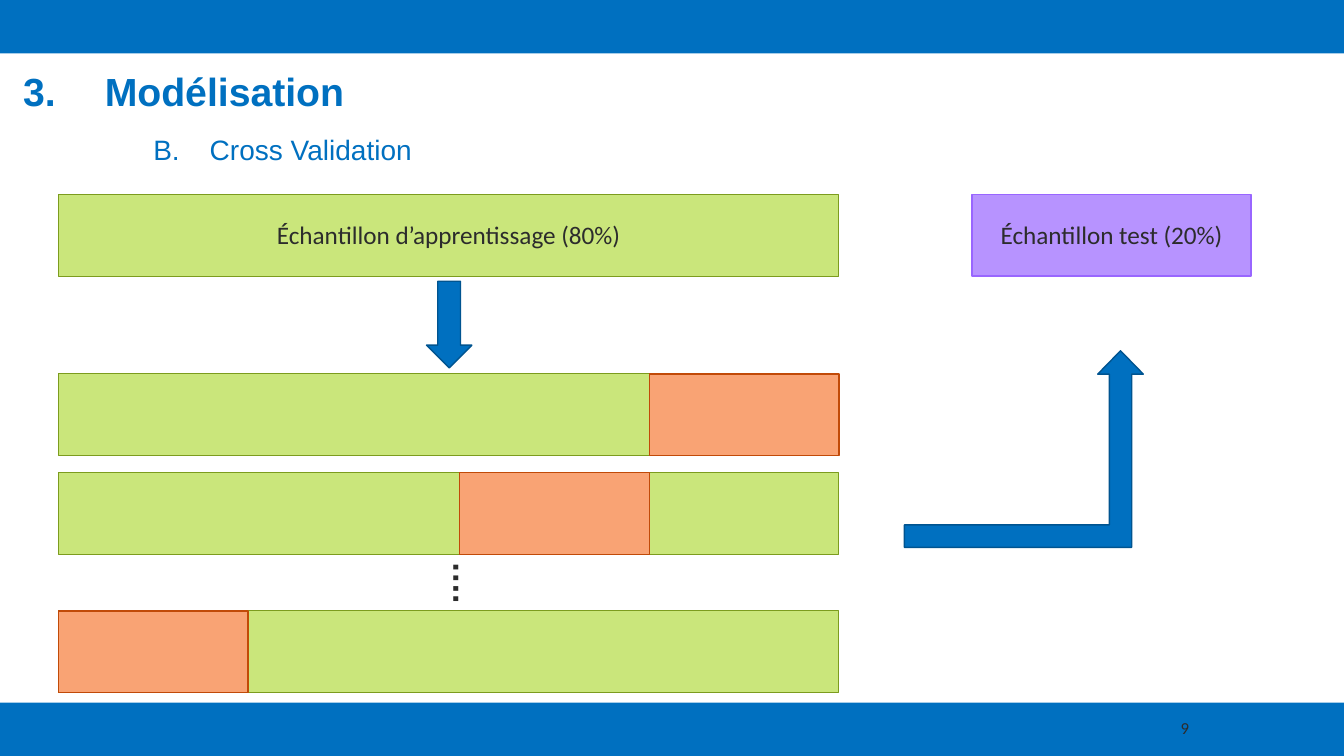
import pptx
import pptx.util
from dataclasses import dataclass
from lxml import etree
from pptx.dml.color import RGBColor
from pptx.enum.shapes import MSO_SHAPE
from pptx.enum.text import MSO_ANCHOR, MSO_AUTO_SIZE, PP_ALIGN
from pptx.oxml.ns import qn
from pptx.util import Inches


@dataclass(frozen=True)
class Theme:
    blue: str = "0070C0"
    blue_line: str = "005490"
    white: str = "FFFFFF"
    dark: str = "2C2C2C"
    green: str = "CAE67B"
    green_line: str = "7C9C1E"
    orange: str = "F9A374"
    orange_line: str = "C14A08"
    purple: str = "B793FF"
    purple_line: str = "9966FF"
    heading_font: str = "Arial"
    label_font: str = "Calibri"
    title_size: int = 28
    subtitle_size: int = 20
    label_size: int = 18
    dots_size: int = 24
    number_size: int = 12


theme = Theme()
presentation = pptx.Presentation()
presentation.slide_width = Inches(13.33)
presentation.slide_height = Inches(7.5)
slide = presentation.slides.add_slide(presentation.slide_layouts[1])


def add_box(kind, box, fill, line=None, line_width=1):
    shape = slide.shapes.add_shape(kind, *map(Inches, box))
    shape.shadow.inherit = False
    shape.fill.solid()
    shape.fill.fore_color.rgb = RGBColor.from_string(fill)
    if line:
        shape.line.color.rgb = RGBColor.from_string(line)
        shape.line.width = pptx.util.Pt(line_width)
    else:
        shape.line.fill.background()
    return shape


def write_text(shape, text, size, font, color, bold=False, align=PP_ALIGN.LEFT):
    """Put one formatted run in the shape and return its paragraph."""
    shape.text_frame.word_wrap = True
    paragraph = shape.text_frame.paragraphs[0]
    paragraph.alignment = align
    run = paragraph.add_run()
    run.text = text
    run.font.size = pptx.util.Pt(size)
    run.font.name = font
    run.font.bold = bold
    run.font.color.rgb = RGBColor.from_string(color)
    return paragraph


# Blue frame with a white panel
add_box(MSO_SHAPE.RECTANGLE, (0, 0, 13.33, 7.5), theme.blue)
add_box(MSO_SHAPE.RECTANGLE, (0, 0.53, 13.33, 6.44), theme.white)

# Numbered headings, brought in front of the panel
title, subtitle = slide.placeholders
headings = [
    (subtitle, "Cross Validation", (1.42, 1.24, 9.76, 0.53), theme.subtitle_size, False, 0.56, "alphaUcPeriod", 2),
    (title, "Modélisation", (0.13, 0.67, 7.74, 0.53), theme.title_size, True, 0.81, "arabicPeriod", 3),
]
for heading, text, box, size, bold, indent, numbering, start in headings:
    heading.left, heading.top, heading.width, heading.height = map(Inches, box)
    heading.element.getparent().append(heading.element)
    heading.text_frame.auto_size = MSO_AUTO_SIZE.NONE
    heading.text_frame.vertical_anchor = MSO_ANCHOR.MIDDLE
    paragraph = write_text(heading, text, size, theme.heading_font, theme.blue, bold)
    paragraph.line_spacing = 0.9
    paragraph.space_before = pptx.util.Pt(0)
    paragraph.space_after = pptx.util.Pt(6)
    properties = paragraph.runs[0].font and paragraph._p.get_or_add_pPr()
    properties.set("marL", str(Inches(indent)))
    properties.set("indent", str(-Inches(indent)))
    bullet_color = etree.SubElement(properties, qn("a:buClr"))
    etree.SubElement(bullet_color, qn("a:srgbClr"), val=theme.blue)
    etree.SubElement(properties, qn("a:buFont"), typeface=theme.heading_font)
    etree.SubElement(properties, qn("a:buAutoNum"), type=numbering, startAt=str(start))

page_number = slide.shapes.add_textbox(*map(Inches, (11.66, 7.02, 1.03, 0.4)))
page_number.text_frame.margin_left = Inches(0.05)
page_number.text_frame.vertical_anchor = MSO_ANCHOR.MIDDLE
write_text(page_number, "9", theme.number_size, theme.label_font, theme.dark)

# Training and test samples
bar_left, bar_width, bar_height = 0.58, 7.74, 0.81
add_box(MSO_SHAPE.RECTANGLE, (bar_left, 1.93, bar_width, bar_height), theme.green, theme.green_line, 0.75)
add_box(MSO_SHAPE.RECTANGLE, (9.64, 1.93, 2.77, bar_height), theme.purple, theme.purple_line)
for text, left, width in [
    ("Échantillon d’apprentissage (80%)", 2.46, 3.98),
    ("Échantillon test (20%)", 9.64, 2.77),
]:
    label = slide.shapes.add_textbox(*map(Inches, (left, 2.13, width, 0.4)))
    write_text(label, text, theme.label_size, theme.label_font, theme.dark, align=PP_ALIGN.CENTER)

# Folds: the orange validation part moves from right to left
fold_width = 1.88
bar_right = bar_left + bar_width
for top, fold_left in [
    (3.71, bar_right - fold_width),
    (4.69, bar_right - 2 * fold_width),
    (6.06, bar_left),
]:
    add_box(MSO_SHAPE.RECTANGLE, (bar_left, top, bar_width, bar_height), theme.green, theme.green_line, 0.75)
    add_box(MSO_SHAPE.RECTANGLE, (fold_left, top, fold_width, bar_height), theme.orange, theme.orange_line)

dots = slide.shapes.add_textbox(*map(Inches, (4.29, 5.53, 0.68, 0.5)))
dots.rotation = 90
write_text(dots, "….", theme.dots_size, theme.heading_font, theme.dark, True, PP_ALIGN.CENTER)

# Arrows
add_box(MSO_SHAPE.DOWN_ARROW, (4.23, 2.79, 0.45, 0.86), theme.blue, theme.blue_line)
test_arrow = add_box(MSO_SHAPE.BENT_UP_ARROW, (8.97, 3.48, 2.37, 1.95), theme.blue, theme.blue_line)
for index, adjustment in enumerate((0.114, 0.116, 0.119)):
    test_arrow.adjustments[index] = adjustment

presentation.save("out.pptx")
